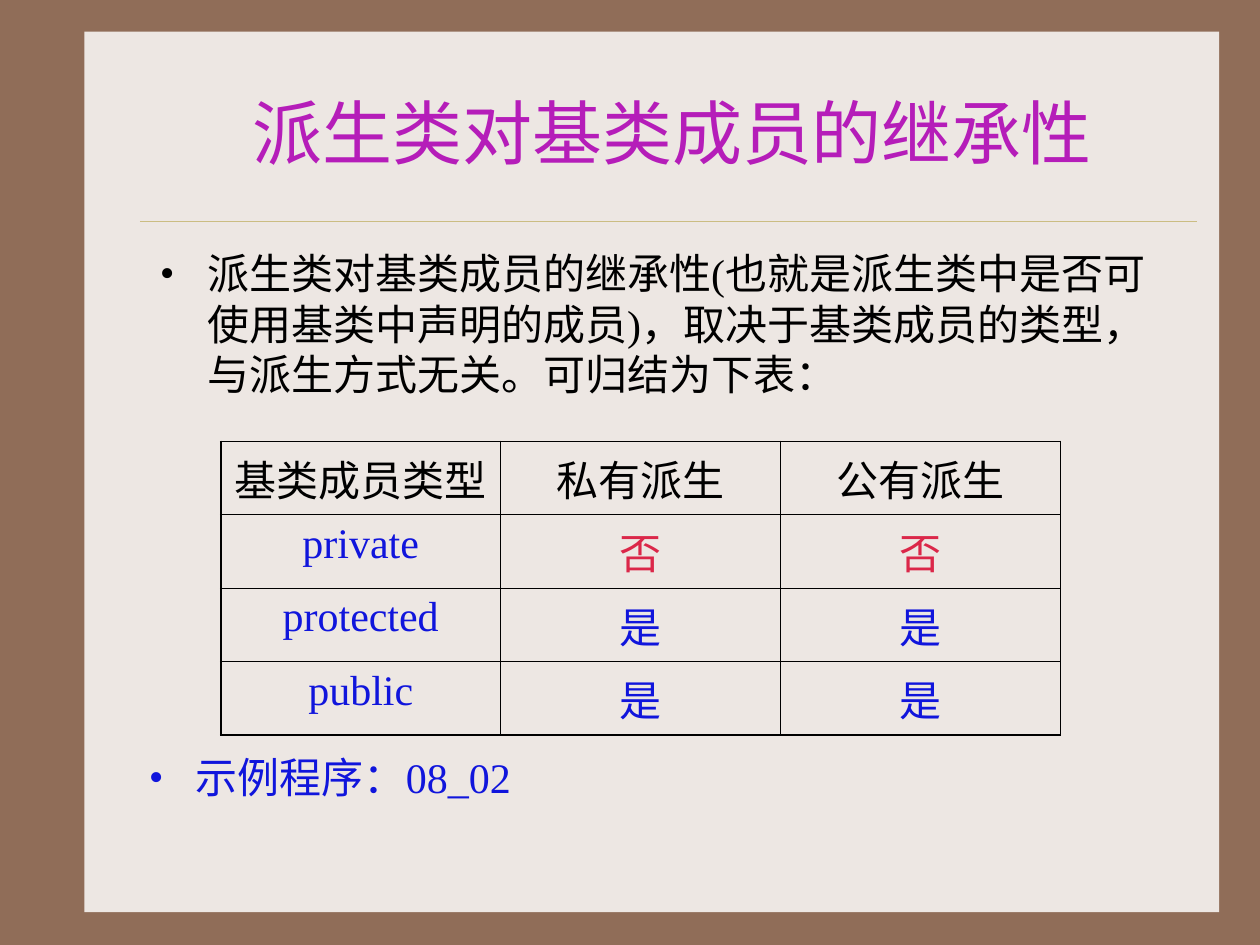
from lxml.etree import SubElement
from pptx import Presentation
from pptx.dml.color import RGBColor
from pptx.enum.shapes import MSO_CONNECTOR, MSO_SHAPE
from pptx.enum.text import MSO_ANCHOR, MSO_AUTO_SIZE, PP_ALIGN
from pptx.oxml import parse_xml
from pptx.oxml.ns import nsdecls, qn
from pptx.util import Cm, Pt

FONT = "Times New Roman"
BROWN = RGBColor(0x90, 0x6D, 0x58)
CREAM = RGBColor(0xED, 0xE7, 0xE3)
GOLD = RGBColor(0xCB, 0xBD, 0x83)
PURPLE = RGBColor(0xB5, 0x1D, 0xB9)
BLUE = RGBColor(0x10, 0x15, 0xDC)
RED = RGBColor(0xDB, 0x27, 0x49)
BLACK = RGBColor(0, 0, 0)

HEADER = ("基类成员类型", "私有派生", "公有派生")
MEMBERS = (("private", "否", "否"), ("protected", "是", "是"), ("public", "是", "是"))
ROW_HEIGHTS = (1.37, 1.37, 1.37, 1.27)
THIN, THICK = Pt(0.45), Pt(1.08)


def place(shape, box):
    """Move a shape to a box of left, top, width and height in centimetres."""
    shape.left, shape.top, shape.width, shape.height = map(Cm, box)


def write(para, text, size, color):
    """Add one formatted run to a paragraph."""
    span = para.add_run()
    span.text = text
    span.font.name = FONT
    span.font.size = Pt(size)
    span.font.color.rgb = color


def add_bullet(para, color):
    """Give a paragraph a coloured bullet with a hanging indent."""
    props = para._p.get_or_add_pPr()
    props.set("marL", str(Cm(0.95)))
    props.set("indent", str(-Cm(0.95)))
    tint = SubElement(props, qn("a:buClr"))
    SubElement(tint, qn("a:srgbClr"), val=str(color))
    SubElement(props, qn("a:buFont"), typeface=FONT)
    SubElement(props, qn("a:buChar"), char="•")


def build_background(page, box):
    """Paint the page with a light panel and a rule under the title."""
    page.background.fill.solid()
    page.background.fill.fore_color.rgb = BROWN
    left, top, width, _ = box
    panel = page.shapes.add_shape(MSO_SHAPE.RECTANGLE, *map(Cm, box))
    panel.shadow.inherit = False
    panel.fill.solid()
    panel.fill.fore_color.rgb = CREAM
    panel.line.fill.background()
    height = Cm(top + 3.81)
    rule = page.shapes.add_connector(
        MSO_CONNECTOR.STRAIGHT, Cm(left + 1.12), height, Cm(left + width - 0.46), height)
    rule.line.color.rgb = GOLD
    rule.line.width = Pt(0.25)
    SubElement(rule._element.spPr, qn("a:effectLst"))
    tree = page.shapes._spTree
    tree.insert(2, panel._element)
    tree.insert(3, rule._element)


def build_title(page, box, text):
    """Fill the title placeholder."""
    title = page.shapes.title
    place(title, box)
    frame = title.text_frame
    frame.auto_size = MSO_AUTO_SIZE.NONE
    frame.vertical_anchor = MSO_ANCHOR.MIDDLE
    para = frame.paragraphs[0]
    para.alignment = PP_ALIGN.CENTER
    write(para, text, 40, PURPLE)


def build_list(shape, box, text, color):
    """Write one bulleted item into a placeholder or text box."""
    place(shape, box)
    frame = shape.text_frame
    frame.word_wrap = True
    frame.auto_size = MSO_AUTO_SIZE.NONE
    para = frame.paragraphs[0]
    para.space_before = Pt(6)
    add_bullet(para, color)
    write(para, text, 24, color)


def set_borders(cell, widths):
    """Draw black borders of the given widths on a cell's sides."""
    props = cell._tc.get_or_add_tcPr()
    for index, (side, width) in enumerate(widths.items()):
        props.insert(index, parse_xml(
            f'<a:ln{side} {nsdecls("a")} w="{width}"><a:solidFill>'
            f'<a:srgbClr val="{BLACK}"/></a:solidFill></a:ln{side}>'))


def cell_color(row, text):
    """Choose the text colour for a cell."""
    if row == 0:
        return BLACK
    return RED if text == "否" else BLUE


def build_table(page, box):
    """Add the table of inherited member types."""
    rows = (HEADER, *MEMBERS)
    last_row, last_column = len(rows) - 1, len(HEADER) - 1
    table = page.shapes.add_table(len(rows), len(HEADER), *map(Cm, box)).table
    table.first_row = table.horz_banding = False
    for column in table.columns:
        column.width = Cm(box[2] / len(HEADER))
    for r, texts in enumerate(rows):
        table.rows[r].height = Cm(ROW_HEIGHTS[r])
        for c, text in enumerate(texts):
            cell = table.cell(r, c)
            cell.fill.background()
            set_borders(cell, {
                "L": THICK if c == 0 else THIN,
                "R": THICK if c == last_column else THIN,
                "T": THIN,
                "B": THICK if r == last_row else THIN,
            })
            para = cell.text_frame.paragraphs[0]
            para.alignment = PP_ALIGN.CENTER
            para.space_before = Pt(6)
            write(para, text, 24, cell_color(r, text))


def main():
    """Build the deck and save it."""
    deck = Presentation()
    deck.slide_width, deck.slide_height = Cm(25.4), Cm(19.05)
    page = deck.slides.add_slide(deck.slide_layouts[1])
    build_background(page, (1.7, 0.64, 22.88, 17.75))
    build_title(page, (2.97, 1.06, 21.16, 3.18), "派生类对基类成员的继承性")
    build_list(
        page.placeholders[1], (2.97, 4.87, 21.16, 3.81),
        "派生类对基类成员的继承性(也就是派生类中是否可使用基类中声明的成员)，"
        "取决于基类成员的类型，与派生方式无关。可归结为下表：", BLACK)
    example_box = (2.75, 15.03, 21.16, 1.48)
    example = page.shapes.add_textbox(*map(Cm, example_box))
    build_list(example, example_box, "示例程序：08_02", BLUE)
    build_table(page, (4.45, 8.89, 16.93, sum(ROW_HEIGHTS)))
    deck.save("out.pptx")


if __name__ == "__main__":
    main()
